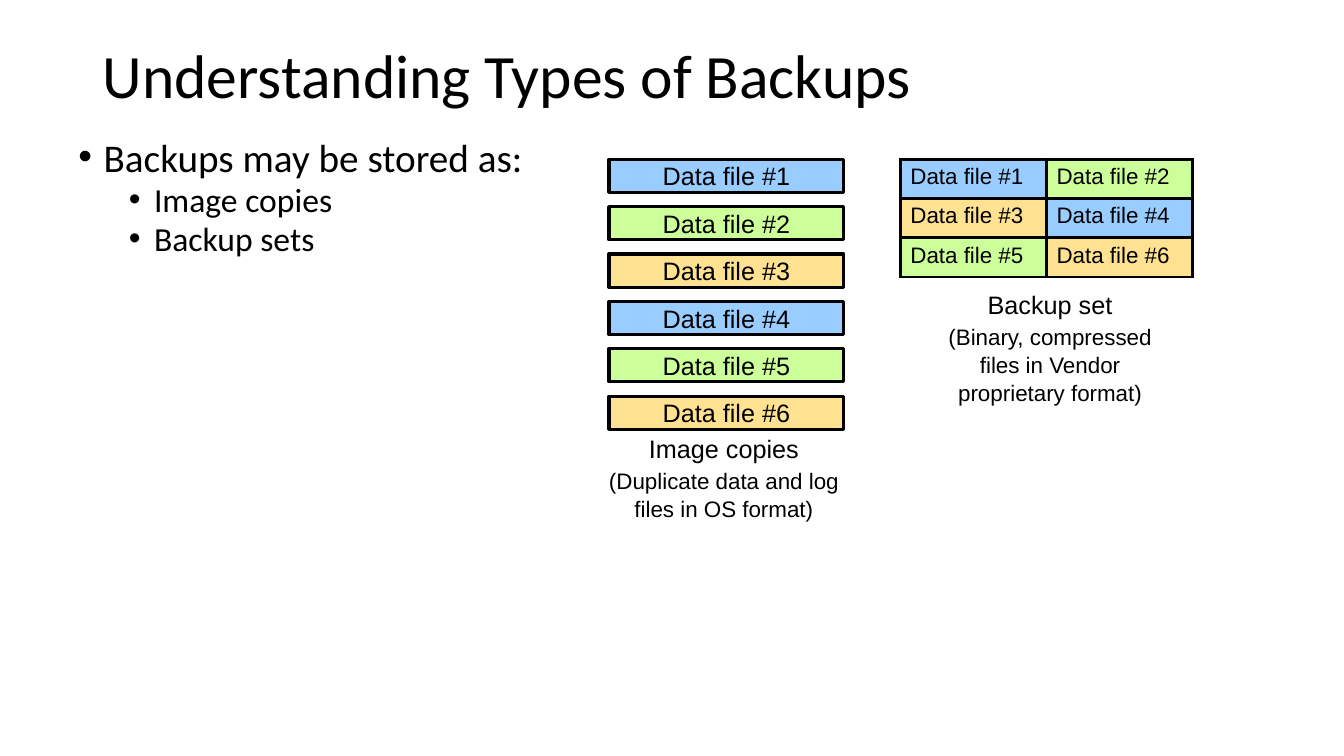
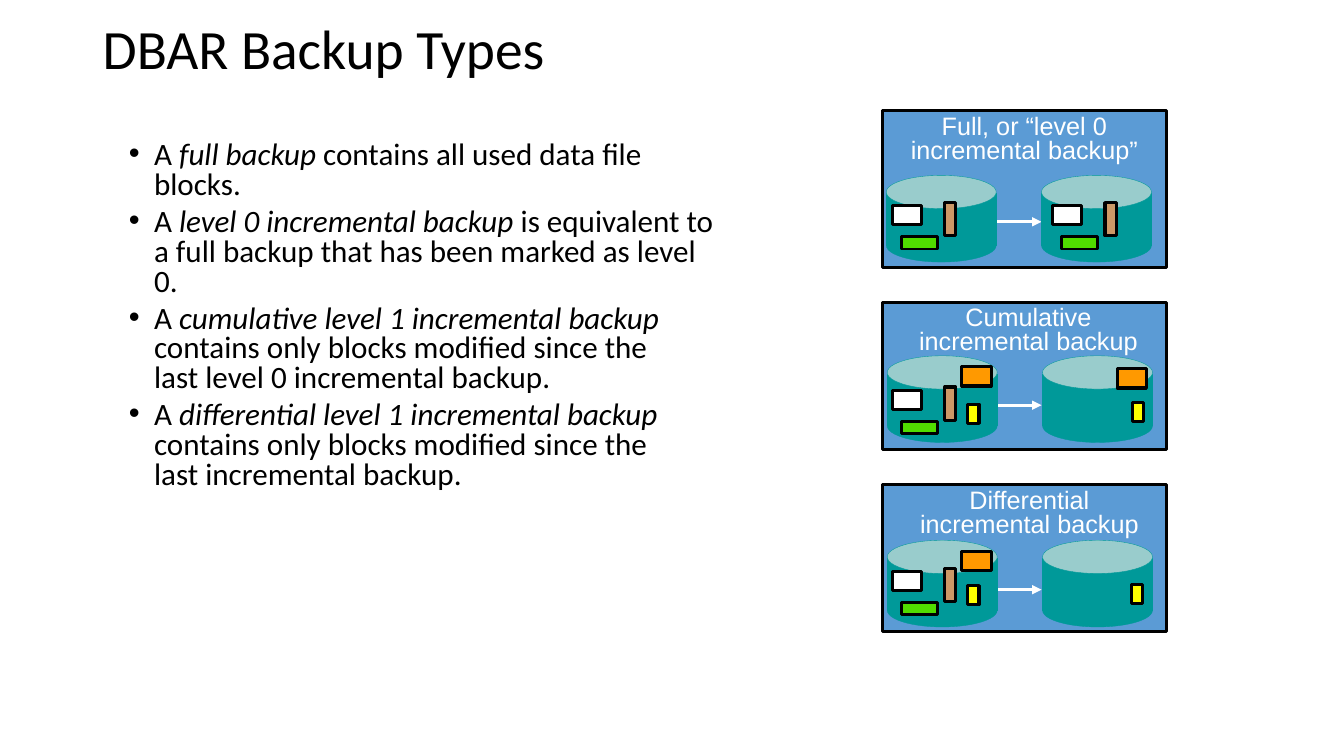
"""Build two slides on how database backups are stored and which types exist."""
from dataclasses import dataclass
from itertools import cycle

from lxml import etree
from pptx import Presentation
from pptx.dml.color import RGBColor
from pptx.enum.shapes import MSO_CONNECTOR, MSO_SHAPE
from pptx.enum.text import MSO_ANCHOR, PP_ALIGN
from pptx.oxml.ns import qn
from pptx.util import Emu, Pt

EMU_PER_PX = 9144
RECTANGLE, OVAL = MSO_SHAPE.RECTANGLE, MSO_SHAPE.OVAL
STRAIGHT = MSO_CONNECTOR.STRAIGHT
LEFT, CENTER = PP_ALIGN.LEFT, PP_ALIGN.CENTER
TOP, MIDDLE = MSO_ANCHOR.TOP, MSO_ANCHOR.MIDDLE
BORDER_TAGS = ("a:lnL", "a:lnR", "a:lnT", "a:lnB")


@dataclass(frozen=True)
class Theme:
    """Fonts, colours, type sizes and line widths of the deck."""
    text_font: str = "Calibri"
    diagram_font: str = "Arial"
    black: str = "000000"
    white: str = "FFFFFF"
    file_fills: tuple[str, ...] = ("99CCFF", "CCFF99", "FFE291")
    panel: str = "5B9BD5"
    cylinder: str = "009999"
    cylinder_lid: str = "99CCCC"
    green: str = "51DC00"
    brown: str = "CC9966"
    yellow: str = "FFFF00"
    orange: str = "FF9900"
    title: float = 44
    small_title: float = 39.6
    body: float = 28
    sub_body: float = 24
    small_body: float = 22.2
    label: float = 18
    note: float = 16
    outline: float = 2.25
    thin_outline: float = 2
    hairline: float = 0.25


THEME = Theme()


@dataclass(frozen=True)
class Box:
    """Position and size in px."""
    left: int
    top: int
    width: int
    height: int


@dataclass(frozen=True)
class TextLine:
    """One paragraph; every second span is italic."""
    spans: tuple[str, ...]
    size: float
    before: float = 0
    spacing: float = 1.0
    bullet_level: int | None = None


@dataclass(frozen=True)
class Block:
    """A kind of data block inside a cylinder."""
    width: int
    height: int
    fill: str
    outline: float = THEME.outline


@dataclass(frozen=True)
class PlacedBlock:
    """A block with its top left corner in px."""
    block: Block
    left: int
    top: int


@dataclass(frozen=True)
class BackupPanel:
    """One backup type: label, cylinders, arrow and blocks."""
    label: str
    label_center: int
    top: int
    height: int
    cylinder_left: int
    cylinder_top: int
    arrow_top: int
    blocks: tuple[PlacedBlock, ...]


WHITE = Block(29, 19, THEME.white, THEME.thin_outline)
GREEN = Block(36, 12, THEME.green, THEME.thin_outline)
BROWN = Block(11, 33, THEME.brown)
YELLOW = Block(11, 19, THEME.yellow)
ORANGE = Block(29, 19, THEME.orange)


def base_blocks(left: int, top: int) -> tuple[PlacedBlock, ...]:
    """Place the three blocks of a full backup."""
    return (PlacedBlock(WHITE, left, top), PlacedBlock(GREEN, left + 9, top + 31),
            PlacedBlock(BROWN, left + 52, top - 3))


def changed_blocks(top: int, orange_top: int) -> tuple[PlacedBlock, ...]:
    """Place the base blocks and the two modified ones."""
    return (*base_blocks(885, top), PlacedBlock(YELLOW, 960, top + 14),
            PlacedBlock(ORANGE, 954, orange_top))


PANELS = (
    BackupPanel("Full, or “level 0\nincremental backup”", 1016, 110, 155, 879, 174, 220,
                base_blocks(885, 204) + base_blocks(1044, 204)),
    BackupPanel("Cumulative\nincremental backup", 1020, 300, 146, 880, 353, 402,
                changed_blocks(387, 364)
                + (PlacedBlock(ORANGE, 1108, 366), PlacedBlock(YELLOW, 1123, 399))),
    BackupPanel("Differential\nincremental backup", 1021, 481, 146, 880, 536, 585,
                changed_blocks(567, 547) + (PlacedBlock(YELLOW, 1122, 580),)),
)
BACKUP_TYPES = (
    ("A ", "full backup ", "contains all used data file blocks."),
    ("A ", "level 0 incremental backup ",
     "is equivalent to a full backup that has been marked as level 0."),
    ("A ", "cumulative level 1 incremental backup",
     " contains only blocks modified since the\nlast level 0 incremental backup."),
    ("A ", "differential level 1 incremental backup ",
     "contains only blocks modified since the\nlast incremental backup."),
)
DATA_FILES = tuple(zip([f"Data file #{number}" for number in range(1, 7)],
                       cycle(THEME.file_fills)))


def px(length: int) -> Emu:
    """Turn px into EMU."""
    return Emu(length * EMU_PER_PX)


def place(box: Box) -> tuple[Emu, Emu, Emu, Emu]:
    """Give a box as python-pptx arguments."""
    return px(box.left), px(box.top), px(box.width), px(box.height)


def rgb(color: str) -> RGBColor:
    """Turn a hex string into a colour."""
    return RGBColor.from_string(color)


def add_bullet(paragraph, level: int) -> None:
    """Give a paragraph a hanging round bullet."""
    paragraph.level = level
    properties = paragraph._p.get_or_add_pPr()
    properties.set("marL", str(px(25 + 50 * level)))
    properties.set("indent", str(px(-25)))
    etree.SubElement(properties, qn("a:buFont")).set("typeface", THEME.diagram_font)
    etree.SubElement(properties, qn("a:buChar")).set("char", "•")


def write_text(frame, lines: list[TextLine], *, font: str = THEME.diagram_font,
               color: str = THEME.black, align=CENTER) -> None:
    """Fill a text frame with formatted paragraphs."""
    for index, line in enumerate(lines):
        paragraph = frame.add_paragraph() if index else frame.paragraphs[0]
        paragraph.alignment = align
        paragraph.line_spacing = line.spacing
        paragraph.space_before = Pt(line.before if index else 0)
        if line.bullet_level is not None:
            add_bullet(paragraph, line.bullet_level)
        for position, span in enumerate(line.spans):
            for part, text in enumerate(span.split("\n")):
                if part:
                    paragraph.add_line_break()
                run = paragraph.add_run()
                run.text = text
                run.font.name = font
                run.font.size = Pt(line.size)
                run.font.italic = position % 2 == 1
                run.font.color.rgb = rgb(color)


def add_text(slide, box: Box, lines: list[TextLine], *, wrap: bool = True, **style) -> None:
    """Add a text box."""
    frame = slide.shapes.add_textbox(*place(box)).text_frame
    frame.word_wrap = wrap
    frame.vertical_anchor = TOP
    write_text(frame, lines, **style)


def add_body(slide, box: Box, lines: list[TextLine]) -> None:
    """Add left-aligned text in the body font."""
    add_text(slide, box, lines, font=THEME.text_font, align=LEFT)


def add_title(slide, text: str, size: float, top: int) -> None:
    """Add the slide title."""
    add_body(slide, Box(92, top, 1150, 80), [TextLine((text,), size, spacing=0.9)])


def add_caption(slide, box: Box, heading: str, note: str) -> None:
    """Add a heading with a smaller note under it."""
    add_text(slide, box, [TextLine((heading,), THEME.label),
                          TextLine((note,), THEME.note, before=1.6, spacing=1.05)])


def add_filled(shapes, box: Box, fill: str, *, preset=RECTANGLE, line: str = THEME.black,
               width: float = THEME.outline):
    """Add a filled and outlined shape."""
    shape = shapes.add_shape(preset, *place(box))
    shape.shadow.inherit = False
    shape.fill.solid()
    shape.fill.fore_color.rgb = rgb(fill)
    shape.line.color.rgb = rgb(line)
    shape.line.width = Pt(width)
    return shape


def add_file_box(slide, box: Box, name: str, fill: str) -> None:
    """Add one labelled data file."""
    frame = add_filled(slide.shapes, box, fill).text_frame
    frame.word_wrap = False
    frame.vertical_anchor = MIDDLE
    frame.margin_top = frame.margin_bottom = 0
    write_text(frame, [TextLine((name,), THEME.label)])


def add_cell_borders(cell) -> None:
    """Draw a black line on the four sides of a cell."""
    properties = cell._tc.get_or_add_tcPr()
    for index, tag in enumerate(BORDER_TAGS):
        line = etree.Element(qn(tag), w=str(Pt(THEME.outline)))
        fill = etree.SubElement(line, qn("a:solidFill"))
        etree.SubElement(fill, qn("a:srgbClr")).set("val", THEME.black)
        properties.insert(index, line)


def add_backup_set_table(slide, box: Box) -> None:
    """Add the table of data files in a backup set."""
    table = slide.shapes.add_table(3, 2, *place(box)).table
    table.first_row = table.horz_banding = False
    for cell, (name, fill) in zip(table.iter_cells(), DATA_FILES):
        cell.fill.solid()
        cell.fill.fore_color.rgb = rgb(fill)
        write_text(cell.text_frame, [TextLine((name,), THEME.note)], align=LEFT)
        add_cell_borders(cell)


def add_cylinder(slide, left: int, top: int) -> None:
    """Add a grouped storage cylinder."""
    shapes = slide.shapes.add_group_shape().shapes
    for offset, height, preset, fill in ((18, 51, RECTANGLE, THEME.cylinder),
                                         (0, 33, OVAL, THEME.cylinder_lid),
                                         (53, 33, OVAL, THEME.cylinder)):
        add_filled(shapes, Box(left, top + offset, 109, height), fill, preset=preset,
                   line=THEME.cylinder, width=THEME.hairline)


def add_arrow(slide, left: int, right: int, top: int) -> None:
    """Add a white arrow pointing right."""
    arrow = slide.shapes.add_connector(STRAIGHT, px(left), px(top), px(right), px(top))
    arrow.line.color.rgb = rgb(THEME.white)
    arrow.line.width = Pt(THEME.outline)
    etree.SubElement(arrow.line._get_or_add_ln(), qn("a:tailEnd")).set("type", "triangle")
    etree.SubElement(arrow._element.spPr, qn("a:effectLst"))


def add_panel(slide, panel: BackupPanel) -> None:
    """Add the diagram of one backup type."""
    add_filled(slide.shapes, Box(875, panel.top, 282, panel.height), THEME.panel)
    add_arrow(slide, 980, 1033, panel.arrow_top)
    add_text(slide, Box(panel.label_center - 123, panel.top, 246, 59),
             [TextLine((panel.label,), THEME.label, spacing=0.8)],
             wrap=False, color=THEME.white)
    for shift in (0, 154):
        add_cylinder(slide, panel.cylinder_left + shift, panel.cylinder_top)
    for placed in panel.blocks:
        block = placed.block
        add_filled(slide.shapes, Box(placed.left, placed.top, block.width, block.height),
                   block.fill, width=block.outline)


def build_storage_slide(slide) -> None:
    """Show image copies beside a backup set."""
    add_title(slide, "Understanding Types of Backups", THEME.title, 40)
    add_body(slide, Box(68, 136, 500, 135), [
        TextLine(("Backups may be stored as:",), THEME.body, spacing=0.8, bullet_level=0),
        *(TextLine((text,), THEME.sub_body, 5, 0.8, 1)
          for text in ("Image copies", "Backup sets"))])
    for index, (name, fill) in enumerate(DATA_FILES):
        add_file_box(slide, Box(604, 158 + 47 * index, 233, 33), name, fill)
    add_caption(slide, Box(591, 425, 254, 100), "Image copies",
                "(Duplicate data and log files in OS format)")
    add_caption(slide, Box(925, 282, 233, 125), "Backup set",
                "(Binary, compressed files in Vendor proprietary format)")
    add_backup_set_table(slide, Box(893, 158, 290, 117))


def build_types_slide(slide) -> None:
    """Explain the backup types beside their diagrams."""
    add_title(slide, "DBAR Backup Types", THEME.small_title, 17)
    add_body(slide, Box(68, 136, 660, 360), [
        TextLine(spans, THEME.small_body, 5, 0.8, 1) for spans in BACKUP_TYPES])
    for panel in PANELS:
        add_panel(slide, panel)


def main() -> None:
    """Build and save the presentation."""
    presentation = Presentation()
    presentation.slide_width, presentation.slide_height = px(1333), px(750)
    for build in (build_storage_slide, build_types_slide):
        build(presentation.slides.add_slide(presentation.slide_layouts[6]))
    presentation.save("out.pptx")


if __name__ == "__main__":
    main()
